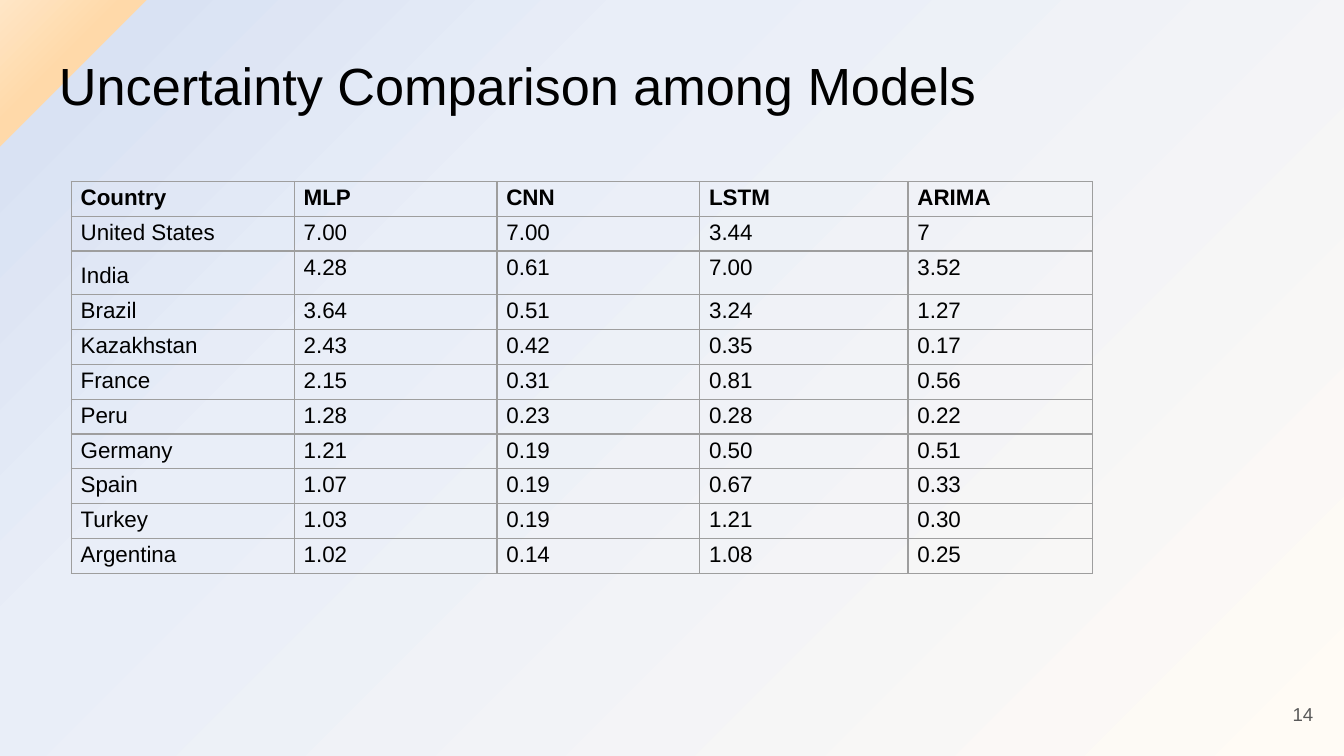
from dataclasses import dataclass
from typing import Any

import lxml.etree
import pptx
import pptx.dml.color
import pptx.enum.text
import pptx.oxml
import pptx.oxml.ns
import pptx.util

Pt = pptx.util.Pt
RGBColor = pptx.dml.color.RGBColor
PP_ALIGN = pptx.enum.text.PP_ALIGN
MSO_ANCHOR = pptx.enum.text.MSO_ANCHOR
qn = pptx.oxml.ns.qn


@dataclass(frozen=True)
class Theme:
    font: str = "Arial"
    text: str = "000000"
    muted: str = "595959"
    border: str = "9E9E9E"
    border_width: float = 0.75
    title_size: float = 28
    table_size: float = 12
    number_size: float = 10
    # Percent and colour, from the bottom right corner to the top left one
    background: tuple[tuple[int, str], ...] = (
        (0, "FFFBF5"), (68, "E9EEF8"), (93, "D9E2F3"),
        (93, "FFD9A9"), (94, "FFD9A9"), (100, "FFE6C6"),
    )


@dataclass(frozen=True)
class Label:
    text: str
    left: float
    top: float
    width: float
    height: float
    size: float
    color: str
    alignment: Any = PP_ALIGN.LEFT
    anchor: Any = MSO_ANCHOR.TOP
    line_spacing: float = 1.0


THEME = Theme()
LABELS = (
    Label("Uncertainty Comparison among Models", 24.5, 18, 671, 45.4,
          THEME.title_size, THEME.text, line_spacing=1.1),
    Label("14", 667.4, 367.2, 43.2, 31, THEME.number_size, THEME.muted,
          PP_ALIGN.RIGHT, MSO_ANCHOR.MIDDLE),
)

TABLE_LEFT, TABLE_TOP = 38.2, 97.2
COLUMN_WIDTHS = (119.5, 108.6, 108.6, 111.6, 98.6)
ROW_HEIGHT = 18.66
TALL_COUNTRY, TALL_HEIGHT = "India", 23.4
LINE_SPACING, TALL_SPACING = 1.15, 1.5
ROWS = (
    ("Country", "MLP", "CNN", "LSTM", "ARIMA"),
    ("United States", "7.00", "7.00", "3.44", "7"),
    ("India", "4.28", "0.61", "7.00", "3.52"),
    ("Brazil", "3.64", "0.51", "3.24", "1.27"),
    ("Kazakhstan", "2.43", "0.42", "0.35", "0.17"),
    ("France", "2.15", "0.31", "0.81", "0.56"),
    ("Peru", "1.28", "0.23", "0.28", "0.22"),
    ("Germany", "1.21", "0.19", "0.50", "0.51"),
    ("Spain", "1.07", "0.19", "0.67", "0.33"),
    ("Turkey", "1.03", "0.19", "1.21", "0.30"),
    ("Argentina", "1.02", "0.14", "1.08", "0.25"),
)


def set_attributes(target: Any, values: dict[str, Any]) -> None:
    for name, value in values.items():
        setattr(target, name, value)


def write_text(paragraph: Any, text: str, size: float, color: str, bold: bool = False) -> None:
    run = paragraph.add_run()
    run.text = text
    set_attributes(run.font, {"name": THEME.font, "size": Pt(size), "bold": bold})
    run.font.color.rgb = RGBColor.from_string(color)


def paint_background(slide: Any) -> None:
    """Fill the background with a gradient centred on the bottom right corner."""
    slide.background.fill.gradient()
    gradient = slide.element.find(".//" + qn("a:gradFill"))
    for child in list(gradient):
        gradient.remove(child)
    stops = lxml.etree.SubElement(gradient, qn("a:gsLst"))
    for percent, color in THEME.background:
        stop = lxml.etree.SubElement(stops, qn("a:gs"), pos=str(percent * 1000))
        lxml.etree.SubElement(stop, qn("a:srgbClr"), val=color)
    circle = lxml.etree.SubElement(gradient, qn("a:path"), {"path": "circle"})
    lxml.etree.SubElement(circle, qn("a:fillToRect"), l="100000", t="100000")


def add_label(slide: Any, label: Label) -> None:
    box = slide.shapes.add_textbox(
        Pt(label.left), Pt(label.top), Pt(label.width), Pt(label.height))
    set_attributes(box.text_frame, {
        "word_wrap": True, "vertical_anchor": label.anchor,
        "margin_left": Pt(7.2), "margin_right": Pt(7.2),
        "margin_top": Pt(7.2), "margin_bottom": Pt(7.2),
    })
    paragraph = box.text_frame.paragraphs[0]
    set_attributes(paragraph, {
        "alignment": label.alignment, "line_spacing": label.line_spacing})
    write_text(paragraph, label.text, label.size, label.color)


def add_borders(cell: Any) -> None:
    properties = cell._tc.get_or_add_tcPr()
    for position, side in enumerate(("lnL", "lnR", "lnT", "lnB")):
        line = pptx.oxml.parse_xml(
            f'<a:{side} {pptx.oxml.ns.nsdecls("a")} w="{Pt(THEME.border_width)}">'
            f'<a:solidFill><a:srgbClr val="{THEME.border}"/></a:solidFill></a:{side}>')
        properties.insert(position, line)


def fill_cell(cell: Any, text: str, bold: bool) -> None:
    set_attributes(cell, {
        "margin_left": Pt(5), "margin_right": Pt(5),
        "margin_top": Pt(0), "margin_bottom": Pt(0),
    })
    cell.fill.background()
    add_borders(cell)
    paragraph = cell.text_frame.paragraphs[0]
    paragraph.line_spacing = TALL_SPACING if text == TALL_COUNTRY else LINE_SPACING
    write_text(paragraph, text, THEME.table_size, THEME.text, bold)


def add_model_table(slide: Any) -> None:
    heights = [TALL_HEIGHT if row[0] == TALL_COUNTRY else ROW_HEIGHT for row in ROWS]
    table = slide.shapes.add_table(
        len(ROWS), len(COLUMN_WIDTHS), Pt(TABLE_LEFT), Pt(TABLE_TOP),
        Pt(sum(COLUMN_WIDTHS)), Pt(sum(heights))).table
    table.horz_banding = False
    for column, width in zip(table.columns, COLUMN_WIDTHS):
        column.width = Pt(width)
    for row_index, (values, height) in enumerate(zip(ROWS, heights)):
        table.rows[row_index].height = Pt(height)
        for column_index, value in enumerate(values):
            fill_cell(table.cell(row_index, column_index), value, bold=row_index == 0)


def main() -> None:
    presentation = pptx.Presentation()
    set_attributes(presentation, {"slide_width": Pt(720), "slide_height": Pt(405)})
    slide = presentation.slides.add_slide(presentation.slide_layouts[6])
    paint_background(slide)
    for label in LABELS:
        add_label(slide, label)
    add_model_table(slide)
    presentation.save("out.pptx")


if __name__ == "__main__":
    main()
